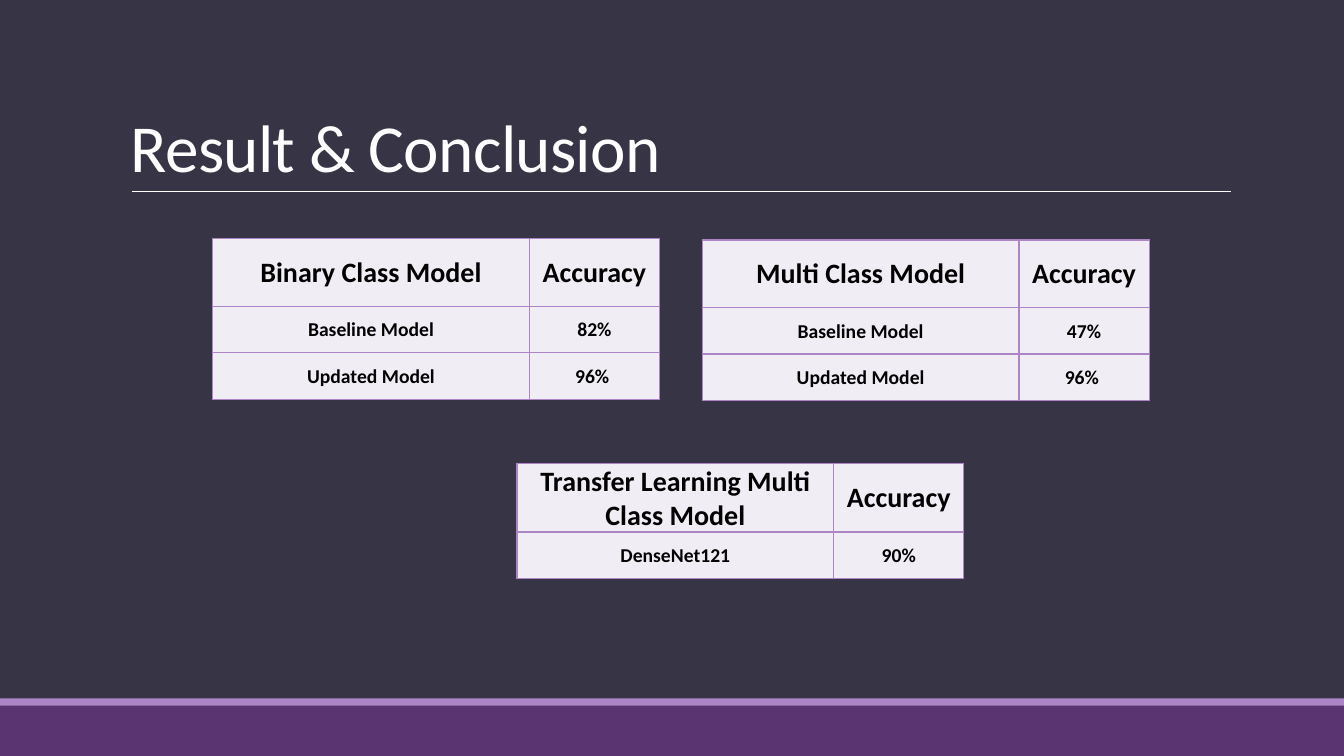
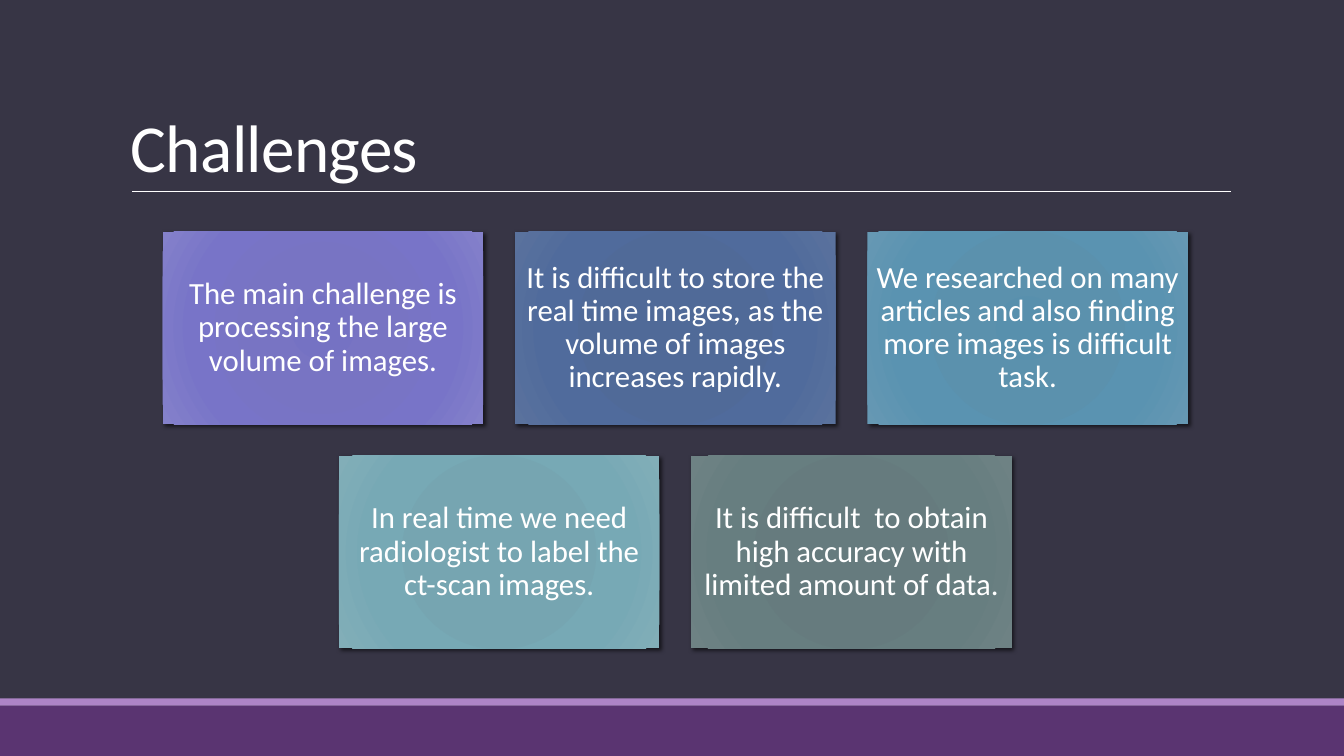
from lxml import etree
from pptx import Presentation
from pptx.dml.color import RGBColor
from pptx.enum.shapes import MSO_CONNECTOR as Connector, MSO_SHAPE as Shape
from pptx.enum.text import MSO_ANCHOR as Anchor, PP_ALIGN as Align
from pptx.oxml.ns import qn
from pptx.util import Cm, Pt

COLORS = {
    "background": "373545",
    "band": "5A3471",
    "accent": "AD84C6",
    "cell": "F1EDF5",
    "white": "FFFFFF",
    "black": "000000",
}
FONT = "Calibri"
PAGE_WIDTH, PAGE_HEIGHT = 33.87, 19.05

# Tables: (left, top), rows; the first row is the header
TABLES = [
    ((5.36, 6.02), [("Binary Class Model", "Accuracy"),
                    ("Baseline Model", "82%"),
                    ("Updated Model", "96% ")]),
    ((17.7, 6.05), [("Multi Class Model", "Accuracy"),
                    ("Baseline Model", "47%"),
                    ("Updated Model", "96% ")]),
    ((13.03, 11.68), [("Transfer Learning Multi Class Model", "Accuracy"),
                      ("DenseNet121", "90%")]),
]
COLUMN_WIDTHS = (7.98, 3.28)
HEADER_HEIGHT, ROW_HEIGHT = 1.7, 1.17

# Cards: text, gradient colours from the centre outwards
CARD_ROWS = [
    [("The main challenge is processing the large volume of images.",
      ("7572C3", "7874C3", "7874C8", "8481CA")),
     ("It is difficult to store the real time images, as the volume of images "
      "increases rapidly.",
      ("4E6998", "506A98", "506B9C", "5A729D")),
     ("We researched on many articles and also finding more images is "
      "difficult task.",
      ("5890AD", "5B91AD", "5A93B1", "6698B3"))],
    [("In real time we need radiologist to label the ct-scan images.",
      ("74A4B1", "76A5B1", "77A9B5", "82AEB8")),
     ("It is difficult  to obtain high accuracy with limited amount of data.",
      ("657A7D", "667B7E", "677E80", "6E8284"))],
]
GRADIENT_STOPS = (0, 34, 70, 100)
CARD_WIDTH, CARD_HEIGHT, CARD_GAP = 8.08, 4.85, 0.8


def rgb(name):
    return RGBColor.from_string(COLORS[name])


def add_xml(parent, tag, **attributes):
    return etree.SubElement(parent, qn(tag), attributes)


def add_color(parent, value, alpha=None):
    color = add_xml(parent, "a:srgbClr", val=value)
    if alpha is not None:
        add_xml(color, "a:alpha", val=str(alpha * 1000))


def write(frame, text, size, color, align=Align.LEFT, bold=False, spacing=1.0):
    para = frame.paragraphs[0]
    span = para.add_run()
    span.text = text
    para.alignment = align
    para.line_spacing = spacing
    font = para.font
    font.name, font.size, font.bold = FONT, Pt(size), bold
    font.color.rgb = rgb(color)
    return span


def set_insets(owner, left, top, right, bottom):
    owner.margin_left, owner.margin_top = Cm(left), Cm(top)
    owner.margin_right, owner.margin_bottom = Cm(right), Cm(bottom)


def add_band(page, top, height, color):
    band = page.shapes.add_shape(Shape.RECTANGLE, 0, Cm(top),
                                 Cm(PAGE_WIDTH), Cm(height))
    band.shadow.inherit = False
    band.fill.solid()
    band.fill.fore_color.rgb = rgb(color)
    band.line.fill.background()


def add_page(deck, title):
    """Add a slide with the footer bands, the title and its rule."""
    page = deck.slides.add_slide(deck.slide_layouts[6])
    page.background.fill.solid()
    page.background.fill.fore_color.rgb = rgb("background")

    # Footer bands
    add_band(page, 17.78, 1.27, "band")
    add_band(page, 17.6, 0.18, "accent")

    # Rule below the title
    rule = page.shapes.add_connector(Connector.STRAIGHT, Cm(3.33), Cm(4.83),
                                     Cm(31.01), Cm(4.83))
    rule.line.color.rgb = rgb("white")
    rule.line.width = Pt(0.5)
    add_xml(rule._element.spPr, "a:effectLst")

    # Title
    box = page.shapes.add_textbox(Cm(3.05), Cm(0.79), Cm(27.94), Cm(4.04))
    frame = box.text_frame
    frame.word_wrap = True
    frame.vertical_anchor = Anchor.BOTTOM
    span = write(frame, title, 48, "white", spacing=0.85)
    span._r.get_or_add_rPr().set("spc", "-50")
    return page


def add_borders(cell):
    properties = cell._tc.get_or_add_tcPr()
    for side in ("a:lnL", "a:lnR", "a:lnT", "a:lnB"):
        line = add_xml(properties, side, w=str(Pt(1)))
        add_color(add_xml(line, "a:solidFill"), COLORS["accent"])


def add_accuracy_table(page, left, top, rows):
    heights = [HEADER_HEIGHT] + [ROW_HEIGHT] * (len(rows) - 1)
    table = page.shapes.add_table(len(rows), len(COLUMN_WIDTHS), Cm(left), Cm(top),
                                  Cm(sum(COLUMN_WIDTHS)), Cm(sum(heights))).table
    table.first_row = table.horz_banding = False
    for column, width in zip(table.columns, COLUMN_WIDTHS):
        column.width = Cm(width)
    for index, (texts, height) in enumerate(zip(rows, heights)):
        table.rows[index].height = Cm(height)
        for cell, text in zip(table.rows[index].cells, texts):
            add_borders(cell)
            cell.fill.solid()
            cell.fill.fore_color.rgb = rgb("cell")
            cell.vertical_anchor = Anchor.MIDDLE
            set_insets(cell, 0.03, 0.03, 0.03, 0)
            write(cell.text_frame, text, 14 if index else 20, "black",
                  Align.CENTER, bold=True)


def fill_radial(shape, colors):
    """Fill a shape with a circular gradient."""
    gradient = etree.Element(qn("a:gradFill"), rotWithShape="1")
    stops = add_xml(gradient, "a:gsLst")
    for position, color in zip(GRADIENT_STOPS, colors):
        add_color(add_xml(stops, "a:gs", pos=str(position * 1000)), color)
    circle = add_xml(gradient, "a:path", path="circle")
    add_xml(circle, "a:fillToRect", l="100000", t="100000", r="100000", b="100000")
    shape.fill.background()
    properties = shape._element.spPr
    properties.replace(properties.find(qn("a:noFill")), gradient)


def add_shadow(shape):
    shape.shadow.inherit = False
    effects = shape._element.spPr.find(qn("a:effectLst"))
    shadow = add_xml(effects, "a:outerShdw", blurRad=str(Pt(3)), dist=str(Pt(2)),
                     dir=str(45 * 60000), algn="ctr", rotWithShape="0")
    add_color(shadow, COLORS["black"], alpha=60)


def add_card(page, left, top, text, colors):
    card = page.shapes.add_shape(Shape.RECTANGLE, Cm(left), Cm(top),
                                 Cm(CARD_WIDTH), Cm(CARD_HEIGHT))
    fill_radial(card, colors)
    card.line.fill.background()
    add_shadow(card)
    frame = card.text_frame
    frame.word_wrap = True
    frame.vertical_anchor = Anchor.MIDDLE
    set_insets(frame, 0.23, 0.23, 0.23, 0.23)
    write(frame, text, 22, "white", Align.CENTER, spacing=0.9)


def add_card_grid(page, left, top, rows):
    """Place rows of cards, each row centred on the widest one."""
    step = CARD_WIDTH + CARD_GAP
    widest = max(len(row) for row in rows)
    for line, row in enumerate(rows):
        row_left = left + (widest - len(row)) * step / 2
        for index, (text, colors) in enumerate(row):
            add_card(page, row_left + index * step,
                     top + line * (CARD_HEIGHT + CARD_GAP), text, colors)


def main():
    deck = Presentation()
    deck.slide_width, deck.slide_height = Cm(PAGE_WIDTH), Cm(PAGE_HEIGHT)

    results = add_page(deck, "Result & Conclusion")
    for (left, top), rows in TABLES:
        add_accuracy_table(results, left, top, rows)

    challenges = add_page(deck, "Challenges")
    add_card_grid(challenges, 4.1, 5.84, CARD_ROWS)

    deck.save("out.pptx")


if __name__ == "__main__":
    main()
